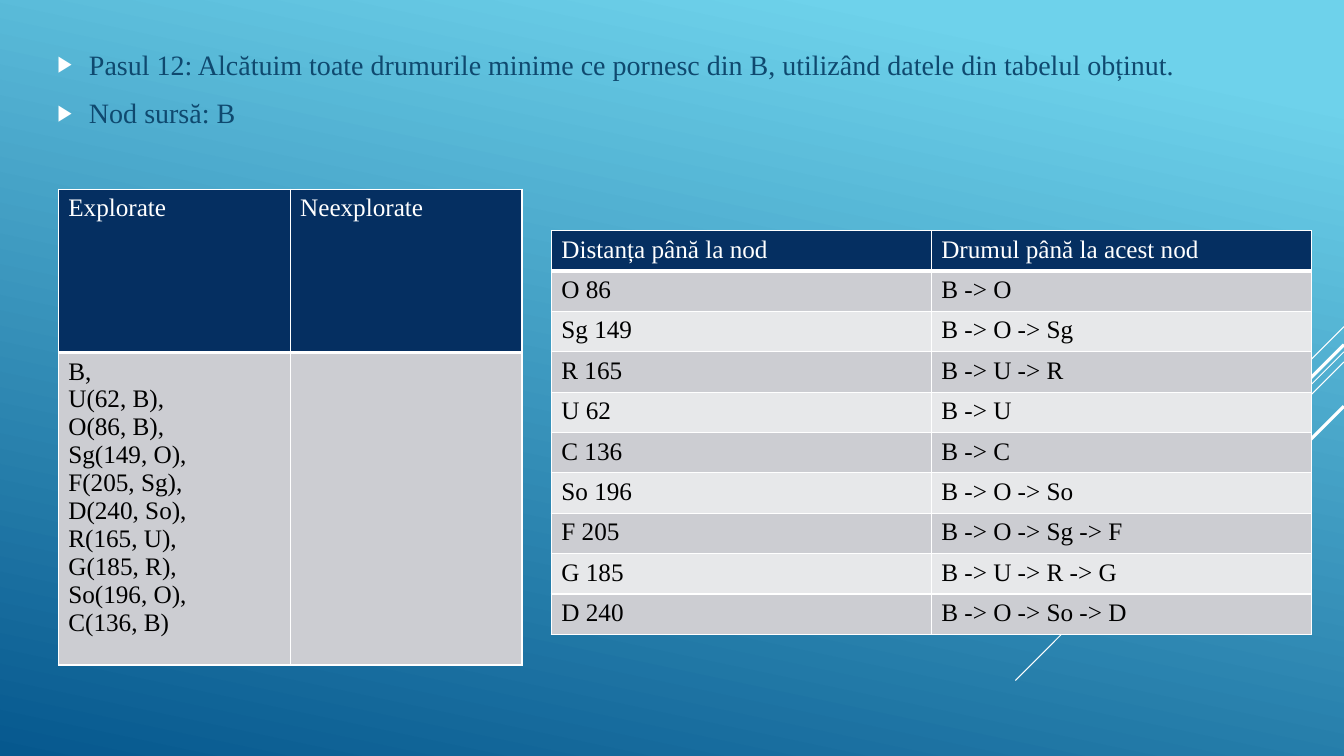
"""Build the slide on step 12: all shortest paths that start from node B."""
import pptx
import pptx.dml.color
import pptx.enum.shapes
import pptx.oxml
import pptx.oxml.ns
import pptx.util

Pt = pptx.util.Pt
qn = pptx.oxml.ns.qn
FONT = "Times New Roman"
COLORS = {"sky": "6ED2EB", "deep": "06588E", "white": "FFFFFF", "intro": "0F496F",
          "header": "052F61", "black": "000000", "odd": "CCCDD2", "even": "E7E8EA"}


def add_run(paragraph, text, size, color):
    run = paragraph.add_run()
    run.text = text
    run.font.name = FONT
    run.font.size = Pt(size)
    run.font.color.rgb = pptx.dml.color.RGBColor.from_string(COLORS[color])


def add_grid(left, top, column_width, row_heights, rows):
    table = slide.shapes.add_table(len(rows), len(rows[0]), Pt(left), Pt(top),
                                   Pt(column_width * len(rows[0])), Pt(sum(row_heights))).table
    table.first_row = False
    table.horz_banding = False
    for column in table.columns:
        column.width = Pt(column_width)
    for r, (height, texts) in enumerate(zip(row_heights, rows)):
        table.rows[r].height = Pt(height)
        fill = "header" if r == 0 else "odd" if r % 2 else "even"
        for c, text in enumerate(texts):
            cell = table.cell(r, c)
            cell.fill.solid()
            cell.fill.fore_color.rgb = pptx.dml.color.RGBColor.from_string(COLORS[fill])
            for i, line in enumerate(text.split("\n") if text else []):
                paragraph = cell.text_frame.paragraphs[0] if i == 0 else cell.text_frame.add_paragraph()
                add_run(paragraph, line, 18, "white" if r == 0 else "black")
            widths = {"L": 1, "R": 1, "T": 3 if r == 1 else 1, "B": 3 if r == 0 else 1}
            for i, (side, width) in enumerate(widths.items()):
                border = pptx.oxml.parse_xml(
                    f'<a:ln{side} xmlns:a="http://schemas.openxmlformats.org/drawingml/2006/main" '
                    f'w="{Pt(width)}"><a:solidFill><a:srgbClr val="{COLORS["white"]}"/>'
                    f'</a:solidFill></a:ln{side}>')
                cell._tc.get_or_add_tcPr().insert(i, border)


prs = pptx.Presentation()
prs.slide_width, prs.slide_height = Pt(960), Pt(540)
slide = prs.slides.add_slide(prs.slide_layouts[6])

background = slide.background.fill
background.gradient()
background.gradient_angle = 258
for stop, position, color in zip(background.gradient_stops, (0.1, 1), ("sky", "deep")):
    stop.position = position
    stop.color.rgb = pptx.dml.color.RGBColor.from_string(COLORS[color])

for start_y, reach, weight in [(233.3, 72, 0.75), (251.3, 234.7, 0.75), (258.5, 149, 0.75),
                               (246.2, 137.5, 2.25), (290.2, 100, 2.25)]:
    ray = slide.shapes.add_connector(pptx.enum.shapes.MSO_CONNECTOR.STRAIGHT, Pt(960), Pt(start_y),
                                     Pt(960 - reach), Pt(start_y + reach))
    ray.line.width = Pt(weight)
    ray.line.color.rgb = pptx.dml.color.RGBColor.from_string(COLORS["white"])
    ray._element.spPr.append(pptx.oxml.parse_xml(
        '<a:effectLst xmlns:a="http://schemas.openxmlformats.org/drawingml/2006/main"/>'))

intro = slide.shapes.add_textbox(Pt(34), Pt(30.2), Pt(903), Pt(509.8)).text_frame
intro.word_wrap = True
for i, text in enumerate([
        "Pasul 12: Alcătuim toate drumurile minime ce pornesc din B, utilizând datele din tabelul obținut.",
        "Nod sursă: B"]):
    paragraph = intro.paragraphs[0] if i == 0 else intro.add_paragraph()
    paragraph.space_before = Pt(4.6)
    paragraph.space_after = Pt(6)
    add_run(paragraph, text, 20, "intro")
    properties = paragraph._p.get_or_add_pPr()
    properties.set("marL", str(Pt(22.5)))
    properties.set("indent", str(-Pt(22.5)))
    bullet_color = properties.makeelement(qn("a:buClr"), {})
    bullet_color.append(properties.makeelement(qn("a:srgbClr"), {"val": COLORS["white"]}))
    properties.append(bullet_color)
    for tag, attributes in [("a:buSzPct", {"val": "80000"}), ("a:buFont", {"typeface": "Arial"}),
                            ("a:buChar", {"char": "▶"})]:
        properties.append(properties.makeelement(qn(tag), attributes))

explored = "\n".join(["B,", "U(62, B),", "O(86, B),", "Sg(149, O),", "F(205, Sg),", "D(240, So),",
                      "R(165, U),", "G(185, R),", "So(196, O),", "C(136, B)"])
add_grid(41.6, 135.2, 165.6, [116.6, 206.4], [("Explorate", "Neexplorate"), (explored, "")])

shortest_paths = [
    ("Distanța până la nod", "Drumul până la acest nod"),
    ("O 86", "B -> O"),
    ("Sg 149", "B -> O -> Sg"),
    ("R 165", "B -> U -> R"),
    ("U 62", "B -> U"),
    ("C 136", "B -> C"),
    ("So 196", "B -> O -> So"),
    ("F 205", "B -> O -> Sg -> F"),
    ("G 185", "B -> U -> R -> G"),
    ("D 240", "B -> O -> So -> D"),
]
add_grid(393.8, 164.8, 271.4, [27.1] * len(shortest_paths), shortest_paths)

prs.save("out.pptx")
